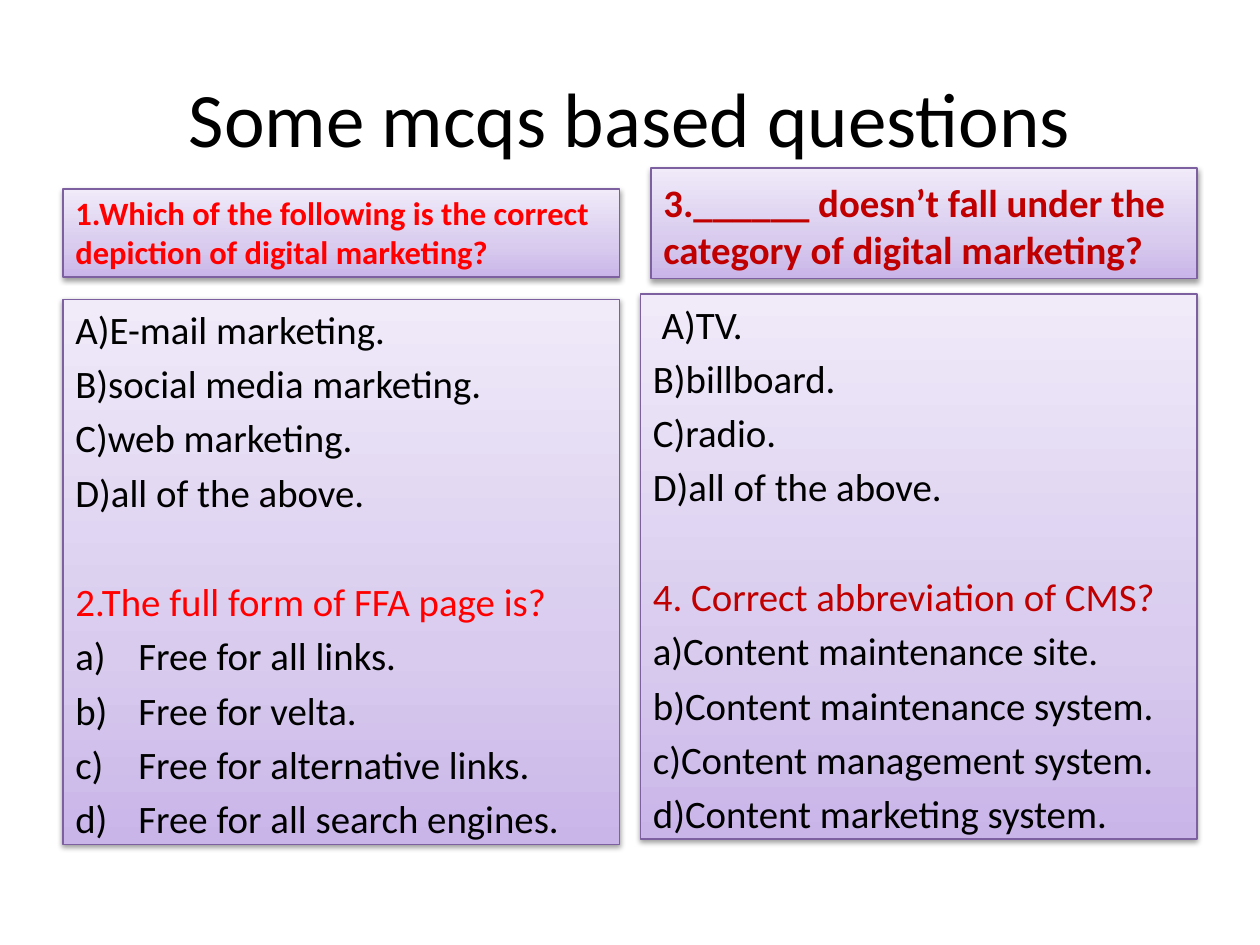
from dataclasses import dataclass

from pptx import Presentation, oxml
from pptx import util as u
from pptx.dml.color import RGBColor
from pptx.enum import shapes, text
from pptx.oxml.ns import nsdecls, qn

BLACK = RGBColor(0x00, 0x00, 0x00)
RED = RGBColor(0xFF, 0x00, 0x00)
DARK_RED = RGBColor(0xC0, 0x00, 0x00)
PURPLE = RGBColor(0x7D, 0x60, 0xA0)
GRADIENT = (
    (0, RGBColor(0xC9, 0xB5, 0xE8)),
    (35, RGBColor(0xD8, 0xCB, 0xEE)),
    (100, RGBColor(0xF0, 0xEA, 0xF9)),
)
FONT = "Calibri"
BODY_SIZE = 22.2
SPACING = 4.4
QUESTION_SPACING = 35.9
COLUMNS, ROWS = 120, 90


@dataclass(frozen=True)
class Area:
    column: float
    row: float
    columns: float
    rows: float


@dataclass(frozen=True)
class Line:
    words: str
    color: RGBColor = BLACK
    size: float = BODY_SIZE
    bold: bool = False
    before: float = SPACING
    indent: float = 0.38
    numbered: bool = False


@dataclass(frozen=True)
class Panel:
    area: Area
    lines: tuple[Line, ...]
    anchor: text.MSO_ANCHOR = text.MSO_ANCHOR.TOP


def heading(words: str, color: RGBColor, size: float) -> tuple[Line, ...]:
    return (Line(words, color, size, bold=True, indent=0),)


def answers(*options: str, numbered: bool = False) -> tuple[Line, ...]:
    indent = 0.5 if numbered else 0.38
    return tuple(Line(option, indent=indent, numbered=numbered) for option in options)


def question(words: str, color: RGBColor) -> tuple[Line, ...]:
    return (Line(words, color, before=QUESTION_SPACING),)


PANELS = (
    Panel(
        Area(6, 18, 53, 8.4),
        heading("1.Which of the following is the correct depiction of digital marketing?", RED, 18.6),
        text.MSO_ANCHOR.BOTTOM,
    ),
    Panel(
        Area(6, 28.5, 53, 51.9),
        answers("A)E-mail marketing.", "B)social media marketing.",
                "C)web marketing.", "D)all of the above.")
        + question("2.The full form of FFA page is?", RED)
        + answers("Free for all links.", "Free for velta.", "Free for alternative links.",
                  "Free for all search engines.", numbered=True),
    ),
    Panel(
        Area(62, 16, 52, 10.5),
        heading("3.______ doesn’t fall under the category of digital marketing?", DARK_RED, BODY_SIZE),
        text.MSO_ANCHOR.BOTTOM,
    ),
    Panel(
        Area(61, 28, 53, 51.9),
        answers(" A)TV.", "B)billboard.", "C)radio.", "D)all of the above.")
        + question("4. Correct abbreviation of CMS?", DARK_RED)
        + answers("a)Content maintenance site.", "b)Content maintenance system.",
                  "c)Content management system.", "d)Content marketing system."),
    ),
)


def place(presentation, area: Area) -> tuple[int, int, int, int]:
    column = presentation.slide_width / COLUMNS
    row = presentation.slide_height / ROWS
    return (round(area.column * column), round(area.row * row),
            round(area.columns * column), round(area.rows * row))


def add_run(paragraph, words: str, size: float, color: RGBColor, bold: bool = False) -> None:
    run = paragraph.add_run()
    run.text = words
    run.font.name = FONT
    run.font.size = u.Pt(size)
    run.font.bold = bold
    run.font.color.rgb = color


def add_line(paragraph, line: Line) -> None:
    paragraph.alignment = text.PP_ALIGN.LEFT
    paragraph.space_before = u.Pt(line.before)
    properties = paragraph._p.get_or_add_pPr()
    properties.set("marL", str(u.Inches(line.indent)))
    properties.set("indent", str(-u.Inches(line.indent)))
    if line.numbered:
        properties.append(oxml.parse_xml(
            f'<a:buAutoNum {nsdecls("a")} type="alphaLcParenR"/>'))
    add_run(paragraph, line.words, line.size, line.color, line.bold)


def style_panel(shape) -> None:
    shape.fill.gradient()
    shape.line.color.rgb = PURPLE
    shape.line.width = u.Pt(0.75)
    shape.shadow.inherit = False
    properties = shape._element.spPr
    stops = "".join(
        f'<a:gs pos="{position * 1000}"><a:srgbClr val="{color}"/></a:gs>'
        for position, color in GRADIENT)
    properties.replace(properties.find(qn("a:gradFill")), oxml.parse_xml(
        f'<a:gradFill {nsdecls("a")} rotWithShape="1"><a:gsLst>{stops}</a:gsLst>'
        '<a:lin ang="16200000" scaled="1"/></a:gradFill>'))
    properties.find(qn("a:effectLst")).append(oxml.parse_xml(
        f'<a:outerShdw {nsdecls("a")} blurRad="{u.Pt(3.1)}" dist="{u.Pt(1.6)}" '
        'dir="5400000" rotWithShape="0"><a:srgbClr val="000000">'
        '<a:alpha val="38000"/></a:srgbClr></a:outerShdw>'))


def add_panel(presentation, slide, panel: Panel) -> None:
    shape = slide.shapes.add_shape(
        shapes.MSO_SHAPE.RECTANGLE, *place(presentation, panel.area))
    style_panel(shape)
    frame = shape.text_frame
    frame.word_wrap = True
    frame.vertical_anchor = panel.anchor
    for index, line in enumerate(panel.lines):
        add_line(frame.add_paragraph() if index else frame.paragraphs[0], line)


def add_title(presentation, slide, words: str) -> None:
    title = slide.shapes.title
    title.left, title.top, title.width, title.height = place(
        presentation, Area(6, 3.6, 108, 15))
    title.text_frame.vertical_anchor = text.MSO_ANCHOR.MIDDLE
    paragraph = title.text_frame.paragraphs[0]
    paragraph.alignment = text.PP_ALIGN.CENTER
    add_run(paragraph, words, 44, BLACK)


def main() -> None:
    presentation = Presentation()
    presentation.slide_width = u.Inches(10)
    presentation.slide_height = u.Inches(7.5)
    slide = presentation.slides.add_slide(presentation.slide_layouts.get_by_name("Title Only"))
    add_title(presentation, slide, "Some mcqs based questions")
    for panel in PANELS:
        add_panel(presentation, slide, panel)
    presentation.save("out.pptx")


if __name__ == "__main__":
    main()
